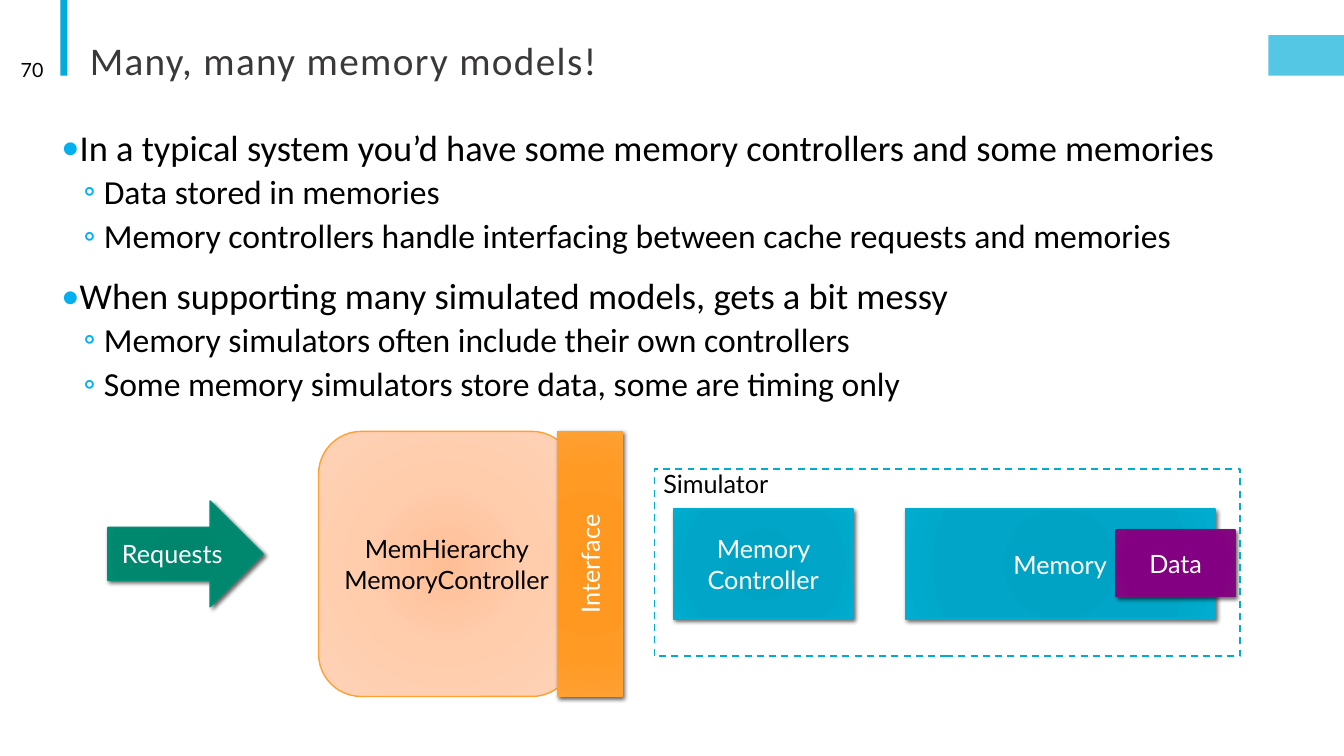
from dataclasses import dataclass
from typing import Any

from lxml.etree import SubElement
from pptx import Presentation
from pptx.dml.color import RGBColor
from pptx.enum.dml import MSO_LINE
from pptx.enum.shapes import MSO_SHAPE
from pptx.enum.text import MSO_ANCHOR, MSO_AUTO_SIZE, PP_ALIGN
from pptx.oxml.ns import qn
from pptx.util import Inches, Pt

COLORS = {
    "black": "000000", "white": "FFFFFF", "title": "3B3838",
    "accent": "00ACD9", "bullet": "00B0F0", "teal": "00ADD0",
    "green": "008E74", "purple": "7D0D7C", "orange": "FFA033",
}
# Radial gradients: position in percent and colour
GRADS = {
    "teal": [(0, "00A1C2"), (34, "00A3C4"), (70, "00A5C7"), (100, "00ADD0")],
    "green": [(0, "00846C"), (34, "00866D"), (70, "00886F"), (100, "008E74")],
    "purple": [(0, "81007F"), (34, "820081"), (70, "840083"), (100, "830781")],
    "orange": [(0, "FF961E"), (34, "FF9821"), (70, "FF9A25"), (100, "FFA033")],
    "peach": [(0, "FFBF96"), (45, "FFCCAC"), (100, "FFD2B7")],
}
# Text levels of the list
LEVELS = [
    {"size": 26, "mark": "•", "left": 0.1, "hang": -0.3, "before": 12, "after": 2},
    {"size": 24, "mark": "◦", "left": 0.42, "hang": -0.2, "before": 2, "after": 4},
]
POINTS = [
    (0, "In a typical system you’d have some memory controllers and some memories"),
    (1, "Data stored in memories"),
    (1, "Memory controllers handle interfacing between cache requests and memories"),
    (0, "When supporting many simulated models, gets a bit messy"),
    (1, "Memory simulators often include their own controllers"),
    (1, "Some memory simulators store data, some are timing only"),
]
Area = tuple[float, float, float, float]


@dataclass
class Block:
    text: str
    area: Area
    grad: str
    line: str
    kind: MSO_SHAPE = MSO_SHAPE.RECTANGLE
    ink: str = "white"
    shade: bool = True
    turn: bool = False


BLOCKS = [
    Block("Memory Controller", (6.68, 5.05, 1.78, 1.09), "teal", "teal"),
    Block("Memory", (8.98, 5.05, 3.07, 1.09), "teal", "teal"),
    Block("Requests", (1.07, 4.97, 1.54, 1.05), "green", "green",
          MSO_SHAPE.RIGHT_ARROW),
    Block("Data", (11.07, 5.26, 1.18, 0.66), "purple", "purple"),
]
FRONT = [
    Block("MemHierarchy MemoryController", (3.16, 4.28, 2.54, 2.63), "peach",
          "orange", MSO_SHAPE.ROUNDED_RECTANGLE, "black", shade=False),
    Block("Interface", (5.53, 4.28, 0.64, 2.63), "orange", "orange", turn=True),
]


def tint(name: str) -> RGBColor:
    return RGBColor.from_string(COLORS[name])


def apply(item: Any, values: dict[str, Any]) -> None:
    for name, value in values.items():
        setattr(item, name, value)


def place(shape: Any, area: Area) -> None:
    apply(shape, dict(zip(("left", "top", "width", "height"), map(Inches, area))))


def style(font: Any, size: float, color: str, face: str = "Lato") -> None:
    apply(font, {"size": Pt(size), "name": face})
    font.color.rgb = tint(color)


def shape_at(slide: Any, kind: MSO_SHAPE, area: Area) -> Any:
    shape = slide.shapes.add_shape(kind, *map(Inches, area))
    shape.shadow.inherit = False
    return shape


def add_bar(slide: Any, area: Area, alpha: int = 100) -> None:
    bar = shape_at(slide, MSO_SHAPE.RECTANGLE, area)
    bar.fill.solid()
    bar.fill.fore_color.rgb = tint("accent")
    bar.line.fill.background()
    if alpha < 100:
        color = bar.element.spPr.find(qn("a:solidFill"))[0]
        SubElement(color, qn("a:alpha"), val=str(alpha * 1000))


def add_grad(shape: Any, stops: list[tuple[int, str]]) -> None:
    shape.fill.gradient()
    grad = shape.element.spPr.find(qn("a:gradFill"))
    grad.clear()
    grad.set("rotWithShape", "1")
    chain = SubElement(grad, qn("a:gsLst"))
    for pos, color in stops:
        stop = SubElement(chain, qn("a:gs"), pos=str(pos * 1000))
        SubElement(stop, qn("a:srgbClr"), val=color)
    track = SubElement(grad, qn("a:path"), path="circle")
    SubElement(track, qn("a:fillToRect"), dict.fromkeys("ltrb", "100000"))


def add_shade(shape: Any) -> None:
    group = shape.element.spPr.find(qn("a:effectLst"))
    shade = SubElement(group, qn("a:outerShdw"), blurRad=str(Pt(3)),
                       dist=str(Pt(2)), dir=str(45 * 60000), rotWithShape="0")
    color = SubElement(shade, qn("a:srgbClr"), val=COLORS["black"])
    SubElement(color, qn("a:alpha"), val="60000")


def add_block(slide: Any, block: Block) -> None:
    shape = shape_at(slide, block.kind, block.area)
    add_grad(shape, GRADS[block.grad])
    shape.line.color.rgb = tint(block.line)
    shape.line.width = Pt(1)
    if block.shade:
        add_shade(shape)
    frame = shape.text_frame
    apply(frame, {"text": block.text, "word_wrap": True,
                  "vertical_anchor": MSO_ANCHOR.MIDDLE})
    if block.turn:
        frame._txBody.bodyPr.set("vert", "vert270")
    para = frame.paragraphs[0]
    para.alignment = PP_ALIGN.CENTER
    style(para.runs[0].font, 18, block.ink)


def add_label(slide: Any, text: str, area: Area, size: float, align: PP_ALIGN,
              anchor: MSO_ANCHOR, wrap: bool) -> None:
    frame = slide.shapes.add_textbox(*map(Inches, area)).text_frame
    apply(frame, {"text": text, "word_wrap": wrap, "vertical_anchor": anchor})
    para = frame.paragraphs[0]
    para.alignment = align
    style(para.runs[0].font, size, "black")


def fill_title(shape: Any) -> None:
    place(shape, (0.79, 0.26, 11, 0.62))
    frame = shape.text_frame
    apply(frame, {"text": "Many, many memory models!", "word_wrap": True,
                  "auto_size": MSO_AUTO_SIZE.NONE,
                  "vertical_anchor": MSO_ANCHOR.BOTTOM})
    para = frame.paragraphs[0]
    apply(para, {"alignment": PP_ALIGN.LEFT, "line_spacing": 0.85})
    run = para.runs[0]
    style(run.font, 28, "title", "Calibri")
    run.font._element.set("spc", "100")


def fill_list(shape: Any) -> None:
    place(shape, (0.61, 1.24, 12.12, 2.99))
    frame = shape.text_frame
    apply(frame, {"margin_left": 0, "margin_right": 0, "word_wrap": True,
                  "auto_size": MSO_AUTO_SIZE.NONE,
                  "vertical_anchor": MSO_ANCHOR.TOP})
    for i, (level, text) in enumerate(POINTS):
        para = frame.add_paragraph() if i else frame.paragraphs[0]
        look = LEVELS[level]
        apply(para, {"text": text, "level": level, "line_spacing": 0.9,
                     "alignment": PP_ALIGN.JUSTIFY,
                     "space_before": Pt(look["before"] if i else 0),
                     "space_after": Pt(look["after"])})
        props = para._p.get_or_add_pPr()
        props.set("marL", str(Inches(look["left"])))
        props.set("indent", str(Inches(look["hang"])))
        color = SubElement(props, qn("a:buClr"))
        SubElement(color, qn("a:srgbClr"), val=COLORS["bullet"])
        SubElement(props, qn("a:buFont"), typeface="Calibri")
        SubElement(props, qn("a:buChar"), char=look["mark"])
        style(para.runs[0].font, look["size"], "black", "Calibri")


def main() -> None:
    deck = Presentation()
    apply(deck, {"slide_width": Inches(13.33), "slide_height": Inches(7.5)})
    slide = deck.slides.add_slide(deck.slide_layouts[1])

    # Header and list
    add_bar(slide, (0.6, 0, 0.07, 0.75))
    add_bar(slide, (12.58, 0.35, 0.75, 0.4), 67)
    fill_title(slide.shapes.title)
    add_label(slide, "70", (0.07, 0.49, 0.46, 0.4), 14, PP_ALIGN.RIGHT,
              MSO_ANCHOR.MIDDLE, True)
    fill_list(slide.placeholders[1])

    # Memory parts
    for block in BLOCKS:
        add_block(slide, block)

    # Simulator frame
    frame = shape_at(slide, MSO_SHAPE.RECTANGLE, (6.49, 4.65, 5.81, 1.86))
    frame.fill.background()
    frame.line.color.rgb = tint("teal")
    apply(frame.line, {"width": Pt(1.25), "dash_style": MSO_LINE.DASH})
    add_label(slide, "Simulator", (6.48, 4.6, 1.28, 0.4), 18, PP_ALIGN.LEFT,
              MSO_ANCHOR.TOP, False)

    # Controller and its interface
    for block in FRONT:
        add_block(slide, block)
    deck.save("out.pptx")


if __name__ == "__main__":
    main()
